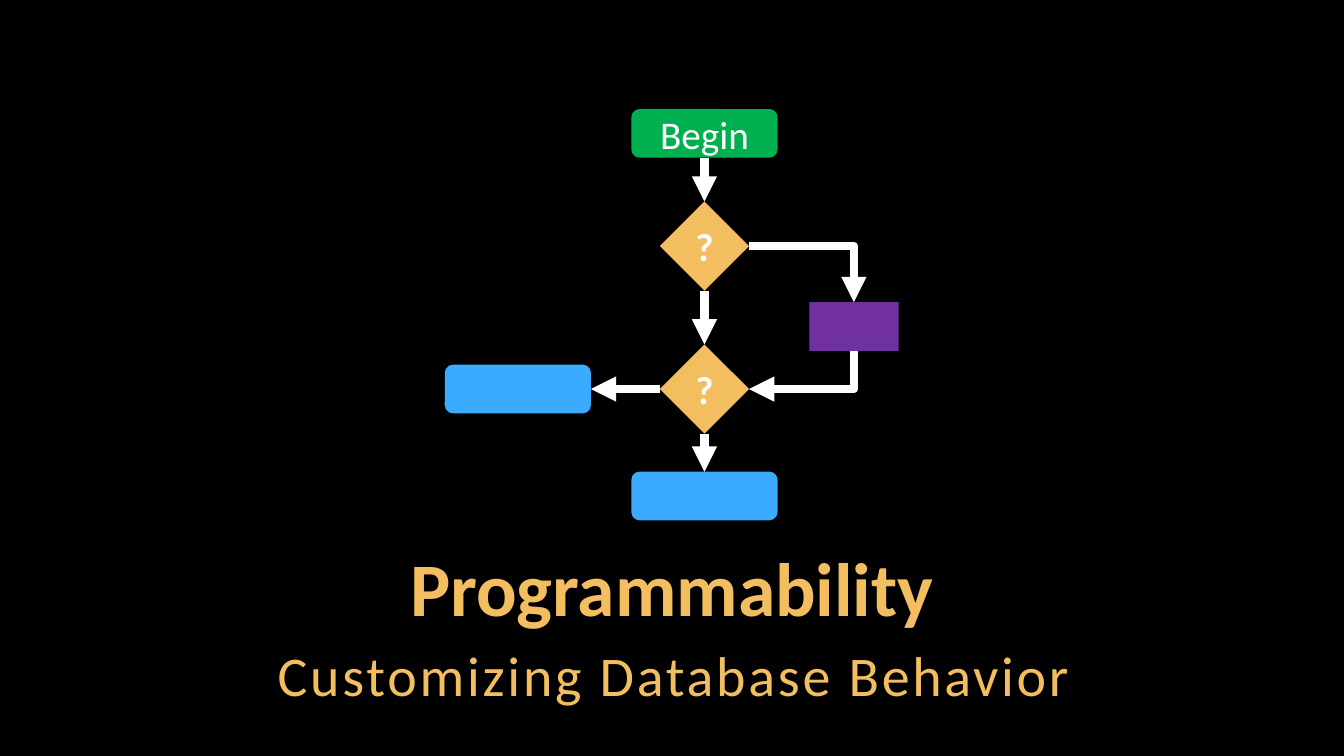
from dataclasses import dataclass

from lxml.etree import SubElement
from pptx import Presentation
from pptx.dml.color import RGBColor
from pptx.enum.shapes import MSO_CONNECTOR as Connector, MSO_SHAPE as Preset
from pptx.enum.text import MSO_ANCHOR as Anchor, MSO_AUTO_SIZE as AutoSize, PP_ALIGN as Align
from pptx.oxml.ns import qn
from pptx.util import Pt

TOP, LEFT, BOTTOM, RIGHT = range(4)


@dataclass(frozen=True)
class Theme:
    font: str = "Calibri"
    background: str = "000000"
    light: str = "FFFFFF"
    gold: str = "F3BE60"
    green: str = "00B050"
    purple: str = "7030A0"
    blue: str = "3BABFF"
    title_size: int = 54
    subtitle_size: int = 40
    label_size: int = 28
    arrow_width: int = 6


THEME = Theme()


def rgb(value):
    return RGBColor.from_string(value)


def apply(target, values):
    for name, value in values.items():
        setattr(target, name, value)


def write(paragraph, text, size, color, bold=False):
    run = paragraph.add_run()
    run.text = text
    apply(run.font, {"name": THEME.font, "size": Pt(size), "bold": bold})
    run.font.color.rgb = rgb(color)
    return run


def fill_heading(placeholder, text, box, size, frame_values, paragraph_values, bold=False, spacing=0):
    apply(placeholder, dict(zip(("left", "top", "width", "height"), map(Pt, box))))
    frame = placeholder.text_frame
    margins = dict.fromkeys(("margin_left", "margin_top", "margin_right", "margin_bottom"), Pt(3))
    apply(frame, {**margins, "word_wrap": True, "auto_size": AutoSize.SHAPE_TO_FIT_TEXT, **frame_values})
    paragraph = frame.paragraphs[0]
    apply(paragraph, {"alignment": Align.CENTER, "space_before": Pt(0), **paragraph_values})
    run = write(paragraph, text, size, THEME.gold, bold)
    properties = run.font._element
    properties.set("cap", "none")
    properties.set("spc", str(spacing * 100))


def add_node(shapes, preset, center, size, color, label="", bold=False):
    (x, y), (width, height) = center, size
    shape = shapes.add_shape(preset, Pt(x - width / 2), Pt(y - height / 2), Pt(width), Pt(height))
    shape.shadow.inherit = False
    shape.fill.solid()
    shape.fill.fore_color.rgb = rgb(color)
    shape.line.fill.background()
    if label:
        shape.text_frame.vertical_anchor = Anchor.MIDDLE
        paragraph = shape.text_frame.paragraphs[0]
        paragraph.alignment = Align.CENTER
        write(paragraph, label, THEME.label_size, THEME.light, bold)
    return shape


def side_point(shape, side):
    x, y = shape.left + shape.width // 2, shape.top + shape.height // 2
    return {
        TOP: (x, shape.top),
        LEFT: (shape.left, y),
        BOTTOM: (x, shape.top + shape.height),
        RIGHT: (shape.left + shape.width, y),
    }[side]


def style_arrow(connector):
    connector.line.color.rgb = rgb(THEME.light)
    connector.line.width = Pt(THEME.arrow_width)
    properties = connector._element.spPr
    SubElement(properties.find(qn("a:ln")), qn("a:tailEnd"), type="triangle")
    SubElement(properties, qn("a:effectLst"))


def add_straight_arrow(shapes, source, source_side, target, target_side):
    start, end = side_point(source, source_side), side_point(target, target_side)
    connector = shapes.add_connector(Connector.STRAIGHT, *start, *end)
    connector.begin_connect(source, source_side)
    connector.end_connect(target, target_side)
    style_arrow(connector)


def add_elbow_arrow(shapes, source, source_side, target, target_side):
    (x1, y1), (x2, y2) = side_point(source, source_side), side_point(target, target_side)
    turned = source_side == BOTTOM
    if turned:
        center_x, center_y = (x1 + x2) // 2, (y1 + y2) // 2
        half_width, half_height = abs(y2 - y1) // 2, abs(x2 - x1) // 2
        x1, x2 = center_x - half_width, center_x + half_width
        y1, y2 = center_y - half_height, center_y + half_height
    connector = shapes.add_connector(Connector.ELBOW, x1, y1, x2, y2)
    properties = connector._element.spPr
    properties.find(qn("a:prstGeom")).set("prst", "bentConnector2")
    if turned:
        properties.find(qn("a:xfrm")).set("rot", str(90 * 60000))
    style_arrow(connector)


def add_flowchart(slide):
    shapes = slide.shapes.add_group_shape().shapes
    axis, exit_row = 503.2, 277.9
    terminal, decision, process = (104.4, 34.8), (63.7, 63.7), (63.7, 34.8)
    rounded = Preset.FLOWCHART_ALTERNATE_PROCESS

    begin = add_node(shapes, rounded, (axis, 95.3), terminal, THEME.green, "Begin")
    first, second = (
        add_node(shapes, Preset.DIAMOND, (axis, y), decision, THEME.gold, "?", True)
        for y in (175.8, exit_row)
    )
    step = add_node(shapes, Preset.RECTANGLE, (610, 233.2), process, THEME.purple)
    end, side_end = (
        add_node(shapes, rounded, center, terminal, THEME.blue)
        for center in ((axis, 354.3), (369.9, exit_row))
    )

    for upper, lower in ((begin, first), (first, second), (second, end)):
        add_straight_arrow(shapes, upper, BOTTOM, lower, TOP)
    add_straight_arrow(shapes, second, LEFT, side_end, RIGHT)
    add_elbow_arrow(shapes, first, RIGHT, step, TOP)
    add_elbow_arrow(shapes, step, BOTTOM, second, RIGHT)


def main():
    presentation = Presentation()
    apply(presentation, {"slide_width": Pt(960), "slide_height": Pt(540)})
    section_header = presentation.slide_layouts[2]
    slide = presentation.slides.add_slide(section_header)
    slide.background.fill.solid()
    slide.background.fill.fore_color.rgb = rgb(THEME.background)

    fill_heading(
        slide.shapes.title, "Programmability", (72, 390.2, 816, 64.8), THEME.title_size,
        {"vertical_anchor": Anchor.BOTTOM}, {"line_spacing": 0.9}, bold=True,
    )
    fill_heading(
        slide.placeholders[1], "Customizing Database Behavior", (73.4, 452.2, 816, 56.9),
        THEME.subtitle_size, {"vertical_anchor": Anchor.TOP},
        {"line_spacing": 1.05, "space_after": Pt(6)}, spacing=2,
    )
    add_flowchart(slide)
    presentation.save("out.pptx")


if __name__ == "__main__":
    main()
